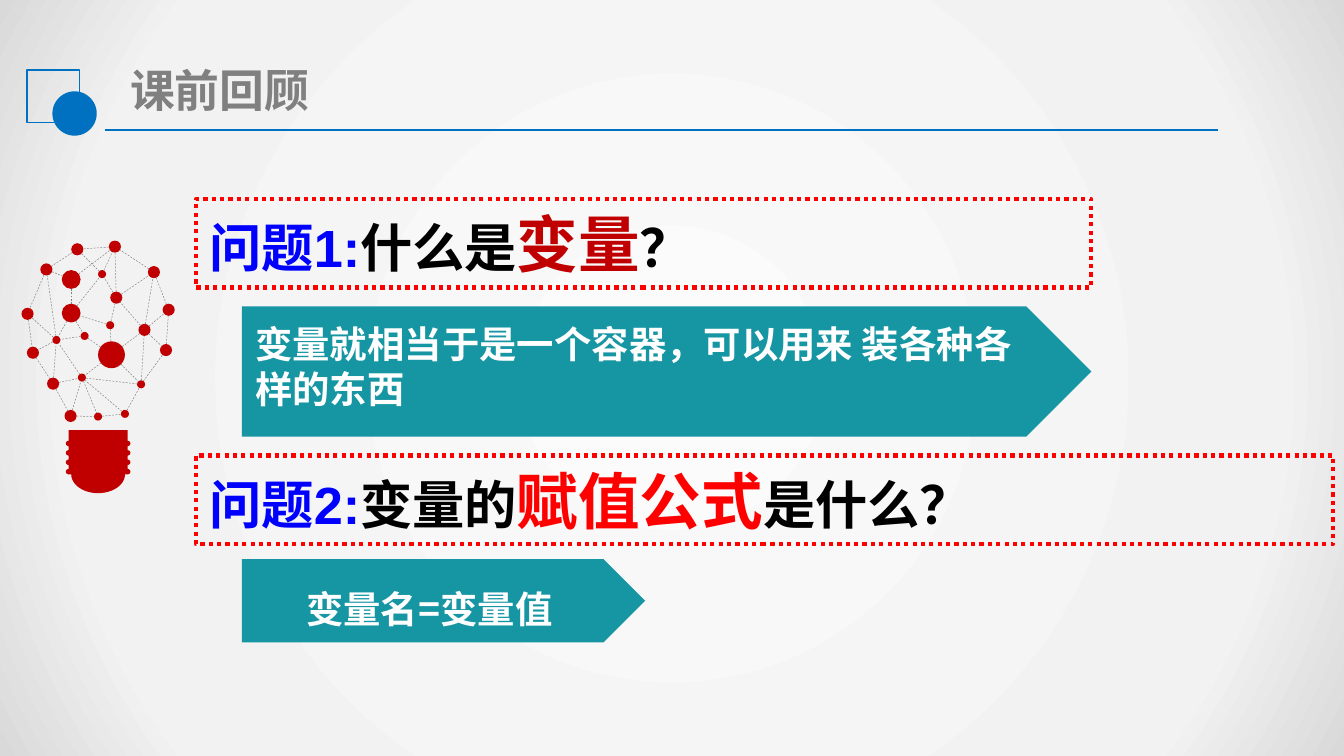
"""Build the lesson review slide with two questions and their answers."""
import math
import pptx
import pptx.util
import pptx.dml.color
import pptx.enum.dml
import pptx.enum.shapes
import pptx.enum.text
import pptx.oxml
import pptx.oxml.ns

Inches = pptx.util.Inches
Pt = pptx.util.Pt
SHAPE = pptx.enum.shapes.MSO_SHAPE
DASH = pptx.enum.dml.MSO_LINE
ALIGN = pptx.enum.text.PP_ALIGN
WIDE = 10
HIGH = WIDE * 9 / 16


class Theme:
    glow = [(0, "FBFBFB"), (79, "F2F2F2"), (100, "D9D9D9")]
    bulb = "C00000"
    gray = "808080"
    blue = "0070C0"
    teal = "1695A3"
    red = "FF0000"
    label = "0000FF"
    black = "000000"
    white = "FFFFFF"
    head = 24
    ask = 28
    key = 33
    reply = 20
    latin = "Arial"
    han = "Noto Sans CJK SC"
    title = "Roboto Condensed"


DOTS = [
    (0.48, 3.05, 0.09), (0.9, 3.05, 0.06), (0.7, 3.07, 0.06),
    (0.35, 2.81, 0.09), (0.2, 2.58, 0.09), (0.16, 2.29, 0.09),
    (0.3, 1.96, 0.09), (0.53, 1.81, 0.09), (0.81, 1.79, 0.09),
    (1.1, 1.98, 0.09), (1.21, 2.26, 0.09), (1.19, 2.56, 0.09),
    (1.02, 2.83, 0.06), (0.58, 2.78, 0.06), (0.46, 2.26, 0.14),
    (0.73, 2.54, 0.2), (0.6, 2.47, 0.06), (0.39, 2.5, 0.06),
    (0.73, 2.01, 0.06), (0.82, 2.17, 0.09), (1.03, 2.41, 0.09),
    (0.46, 2.01, 0.14), (0.79, 2.39, 0.06),
]
LINKS = [
    (0, 2), (2, 1), (1, 12), (12, 11), (11, 10), (10, 9), (9, 8), (8, 7),
    (7, 6), (6, 5), (5, 4), (4, 3), (3, 0), (0, 13), (13, 12), (13, 2),
    (1, 13), (13, 17), (3, 13), (17, 4), (3, 17), (17, 6), (17, 5), (6, 21),
    (21, 14), (14, 16), (16, 15), (15, 12), (15, 13), (16, 17), (14, 17),
    (14, 18), (18, 8), (21, 8), (7, 18), (19, 9), (19, 8), (19, 18),
    (22, 19), (22, 15), (22, 14), (15, 20), (20, 9), (20, 19), (20, 10),
    (20, 11), (12, 20),
]


def color(code):
    return pptx.dml.color.RGBColor.from_string(code)


def paint(shape, fill=None, line=None, width=1, dash=None):
    shape.shadow.inherit = False
    if fill:
        shape.fill.solid()
        shape.fill.fore_color.rgb = color(fill)
    else:
        shape.fill.background()
    if line:
        shape.line.color.rgb = color(line)
        shape.line.width = Pt(width)
        shape.line.dash_style = dash
    else:
        shape.line.fill.background()


def draw(slide, kind, box, **look):
    shape = slide.shapes.add_shape(kind, *map(Inches, box))
    paint(shape, **look)
    return shape


def rule(slide, start, end, tint, width, dash=None):
    kind = pptx.enum.shapes.MSO_CONNECTOR.STRAIGHT
    line = slide.shapes.add_connector(kind, *map(Inches, (*start, *end)))
    line.line.color.rgb = color(tint)
    line.line.width = Pt(width)
    line.line.dash_style = dash
    props = line._element.spPr
    props.append(pptx.oxml.parse_xml(
        f'<a:effectLst {pptx.oxml.ns.nsdecls("a")}/>'))


def write(shape, runs, face, align=ALIGN.LEFT):
    frame = shape.text_frame
    frame.word_wrap = True
    frame.auto_size = pptx.enum.text.MSO_AUTO_SIZE.SHAPE_TO_FIT_TEXT
    para = frame.paragraphs[0]
    para.alignment = align
    para.font.name = face
    para.font.bold = True
    for text, size, tint in runs:
        run = para.add_run()
        run.text = text
        run.font.size = Pt(size)
        run.font.color.rgb = color(tint)


def label(slide, box, text, size, tint, face, align=ALIGN.LEFT):
    shape = slide.shapes.add_textbox(*map(Inches, box))
    write(shape, [(text, size, tint)], face, align)


def backdrop(slide):
    shape = draw(slide, SHAPE.RECTANGLE, (0, 0, WIDE, HIGH))
    shape.fill.gradient()
    grad = shape._element.spPr.find(pptx.oxml.ns.qn("a:gradFill"))
    stops = "".join(
        f'<a:gs pos="{pos * 1000}"><a:srgbClr val="{code}"/></a:gs>'
        for pos, code in Theme.glow)
    fresh = pptx.oxml.parse_xml(
        f'<a:gradFill {pptx.oxml.ns.nsdecls("a")}><a:gsLst>{stops}</a:gsLst>'
        '<a:path path="circle"><a:fillToRect l="50000" t="50000" '
        'r="50000" b="50000"/></a:path></a:gradFill>')
    grad.getparent().replace(grad, fresh)


def socket(slide):
    mid = 0.73
    half = [(0.22, 3.2), (0.22, 3.28)]
    for row in range(4):
        for step in range(9):
            turn = math.pi * step / 8
            half.append((0.22 + 0.02 * math.sin(turn),
                         3.3 + 0.07 * row - 0.02 * math.cos(turn)))
    for step in range(13):
        turn = math.pi * step / 24
        half.append((0.2 * math.cos(turn), 3.53 + 0.14 * math.sin(turn)))
    points = [(mid + x, y) for x, y in half]
    points += [(mid - x, y) for x, y in reversed(half)]
    points = [(Inches(x), Inches(y)) for x, y in points]
    form = slide.shapes.build_freeform(*points[0])
    form.add_line_segments(points[1:])
    paint(form.convert_to_shape(), fill=Theme.bulb)


def link(slide, first, last):
    (ax, ay, ad), (bx, by, bd) = first, last
    ax, ay, bx, by = ax + ad / 2, ay + ad / 2, bx + bd / 2, by + bd / 2
    span = math.hypot(bx - ax, by - ay)
    ux, uy = (bx - ax) / span, (by - ay) / span
    rule(slide, (ax + ux * ad / 2, ay + uy * ad / 2),
         (bx - ux * bd / 2, by - uy * bd / 2), Theme.gray, 0.25, DASH.DASH)


def bulb(slide):
    socket(slide)
    for x, y, size in DOTS:
        draw(slide, SHAPE.OVAL, (x, y, size, size), fill=Theme.bulb)
    for first, last in LINKS:
        link(slide, DOTS[first], DOTS[last])


def ask(slide, top, width, name, lead, key, tint, tail):
    shape = draw(slide, SHAPE.RECTANGLE, (1.46, top, width, 0.66),
                 line=Theme.red, width=2.25, dash=DASH.ROUND_DOT)
    write(shape, [(name, Theme.ask, Theme.label),
                  (lead, Theme.ask, Theme.black),
                  (key, Theme.key, tint),
                  (tail, Theme.ask, Theme.black)], Theme.latin)


def reply(slide, arrow, box, text):
    draw(slide, SHAPE.PENTAGON, arrow, fill=Theme.teal)
    label(slide, box, text, Theme.reply, Theme.white, Theme.han)


def header(slide):
    label(slide, (0.79, 0.42, 1.69, 0.5), "课前回顾", Theme.head, Theme.gray,
          Theme.title, ALIGN.CENTER)
    draw(slide, SHAPE.RECTANGLE, (0.2, 0.52, 0.39, 0.39),
         line=Theme.blue, width=0.75)
    rule(slide, (0.78, 0.97), (9.06, 0.97), Theme.blue, 1.25)
    draw(slide, SHAPE.OVAL, (0.39, 0.68, 0.33, 0.33), fill=Theme.blue)


def main():
    deck = pptx.Presentation()
    deck.slide_width, deck.slide_height = Inches(WIDE), Inches(HIGH)
    slide = deck.slides.add_slide(deck.slide_layouts[6])
    backdrop(slide)
    bulb(slide)
    ask(slide, 1.48, 6.66, "问题1:", "什么是", "变量", Theme.bulb, "？")
    reply(slide, (1.8, 2.28, 6.32, 0.97), (1.8, 2.34, 5.94, 0.77),
          "变量就相当于是一个容器，可以用来 装各种各样的东西")
    ask(slide, 3.39, 8.46, "问题2:", "变量的", "赋值公式", Theme.red, "是什么？")
    header(slide)
    reply(slide, (1.8, 4.16, 3, 0.62), (2.18, 4.31, 2.6, 0.44),
          "变量名=变量值")
    deck.save("out.pptx")


if __name__ == "__main__":
    main()
